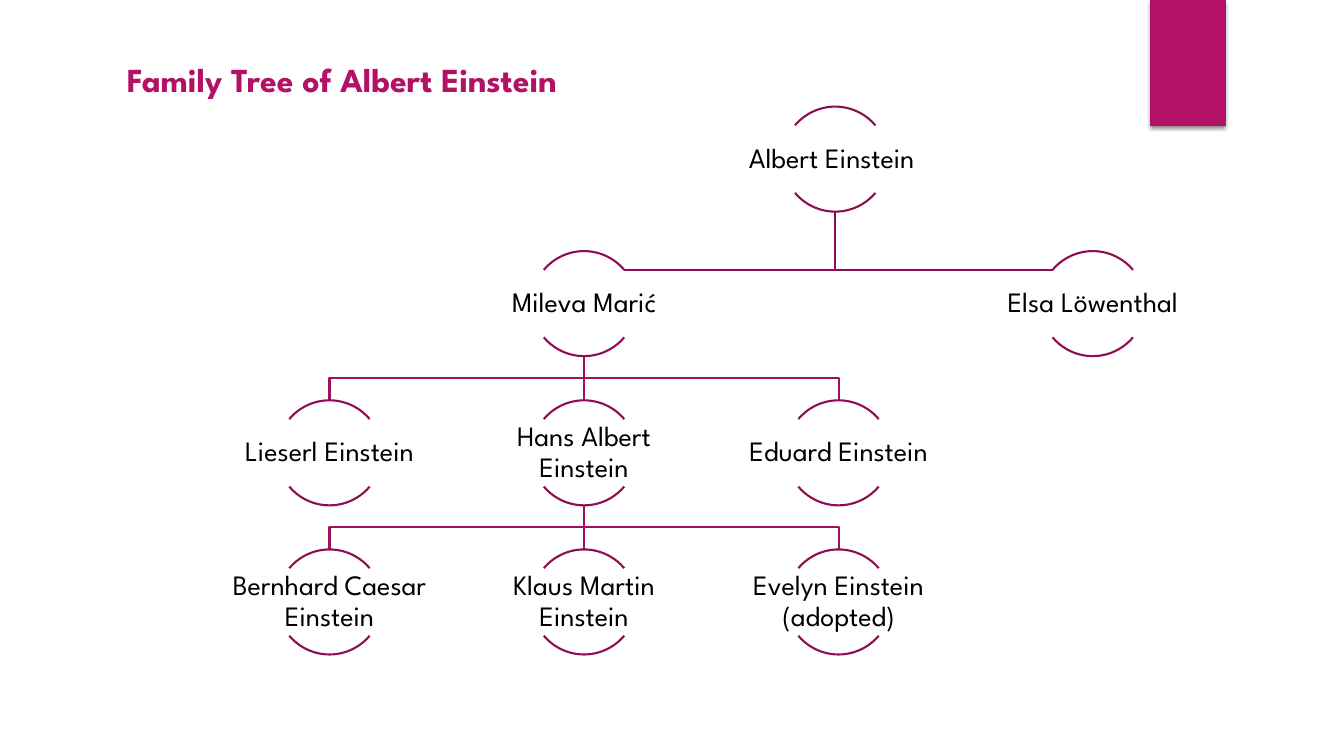
from dataclasses import dataclass
from lxml import etree
from pptx import Presentation
from pptx.dml.color import RGBColor
from pptx.enum import shapes, text
from pptx.oxml.ns import qn
from pptx.util import Pt


@dataclass(frozen=True)
class Theme:
    accent: RGBColor = RGBColor.from_string("B31166")
    arc: RGBColor = RGBColor.from_string("8F0E52")
    branch: RGBColor = RGBColor.from_string("A20F5D")
    ink: RGBColor = RGBColor.from_string("000000")
    font: str = "League Spartan"
    title_size: int = 24
    name_size: int = 20
    line_width: float = 1.5


theme = Theme()
prs = Presentation()
prs.slide_width, prs.slide_height = Pt(960), Pt(540)
s = prs.slides.add_slide(prs.slide_layouts[6])


def draw_link(points, color):
    if len(points) == 2:
        (x1, y1), (x2, y2) = points
        line = s.shapes.add_connector(
            shapes.MSO_CONNECTOR.STRAIGHT, Pt(x1), Pt(y1), Pt(x2), Pt(y2))
        etree.SubElement(line._element.spPr, qn("a:effectLst"))
    else:
        corners = [(Pt(x), Pt(y)) for x, y in points]
        builder = s.shapes.build_freeform(*corners[0])
        builder.add_line_segments(corners[1:], close=False)
        line = builder.convert_to_shape()
        line.fill.background()
        line.shadow.inherit = False
    line.line.color.rgb = color
    line.line.width = Pt(theme.line_width)


def add_label(label, left, top, width, height, size, color):
    sp = s.shapes.add_textbox(Pt(left), Pt(top), Pt(width), Pt(height))
    tf = sp.text_frame
    tf.text = label
    tf.word_wrap = True
    font = tf.paragraphs[0].runs[0].font
    font.name, font.size, font.color.rgb = theme.font, Pt(size), color
    return tf


ribbon = s.shapes.add_shape(
    shapes.MSO_SHAPE.RECTANGLE, Pt(821.6), Pt(0), Pt(54), Pt(90))
ribbon.fill.solid()
ribbon.fill.fore_color.rgb = theme.accent
ribbon.line.fill.background()
ribbon.shadow.inherit = False
effects = ribbon._element.spPr.find(qn("a:effectLst"))
shadow = etree.SubElement(effects, qn("a:outerShdw"), blurRad=str(Pt(3)),
                          dist=str(Pt(2)), dir="5400000", rotWithShape="0")
shade = etree.SubElement(shadow, qn("a:srgbClr"), val=str(theme.ink))
etree.SubElement(shade, qn("a:alpha"), val="45000")

diameter = 75
label_width, label_height = 150.5, 48.2
spouse_drop, spouse_inset = 13.7, 28.8
left_x, middle_x, right_x = 235.4, 417.2, 599
root_x, elsa_x = 596.6, 780.6
root_y, spouse_y, child_y, grandchild_y = 76.2, 179.4, 286, 392.5
columns = (left_x, middle_x, right_x)

people = [
    ("Albert Einstein ", root_x, root_y),
    ("Mileva Marić", middle_x, spouse_y),
    ("Elsa Löwenthal", elsa_x, spouse_y),
]
generations = [
    (child_y, ("Lieserl Einstein", "Hans Albert Einstein", "Eduard Einstein")),
    (grandchild_y, ("Bernhard Caesar Einstein", "Klaus Martin Einstein",
                    "Evelyn Einstein (adopted)")),
]

root_bottom, spouse_line = root_y + diameter, spouse_y + spouse_drop
for x in (middle_x + spouse_inset, elsa_x - spouse_inset):
    draw_link([(root_x, root_bottom), (root_x, spouse_line), (x, spouse_line)],
              theme.arc)

parent_y = spouse_y
for y, names in generations:
    start = parent_y + diameter
    bend = (start + y) / 2
    for name, x in zip(names, columns):
        bends = [] if x == middle_x else [(middle_x, bend), (x, bend)]
        draw_link([(middle_x, start), *bends, (x, y)], theme.branch)
        people.append((name, x, y))
    parent_y = y

for name, x, y in people:
    for start, end in ((132, 192), (24, 84)):
        sp = s.shapes.add_shape(shapes.MSO_SHAPE.ARC, Pt(x - diameter / 2),
                                Pt(y), Pt(diameter), Pt(diameter))
        sp.adjustments[0], sp.adjustments[1] = start, end
        sp.fill.background()
        sp.line.color.rgb = theme.arc
        sp.line.width = Pt(theme.line_width)
        sp.shadow.inherit = False
    tf = add_label(name, x - label_width / 2, y + (diameter - label_height) / 2,
                   label_width, label_height, theme.name_size, theme.ink)
    tf.margin_left = tf.margin_right = tf.margin_top = tf.margin_bottom = Pt(1)
    tf.vertical_anchor = text.MSO_ANCHOR.MIDDLE
    p = tf.paragraphs[0]
    p.alignment = text.PP_ALIGN.CENTER
    p.line_spacing = 0.9

tf = add_label("Family Tree of Albert Einstein", 83.5, 38.2, 375.8, 36,
               theme.title_size, theme.accent)
tf.auto_size = text.MSO_AUTO_SIZE.SHAPE_TO_FIT_TEXT
tf.paragraphs[0].runs[0].font.bold = True

prs.save("out.pptx")
